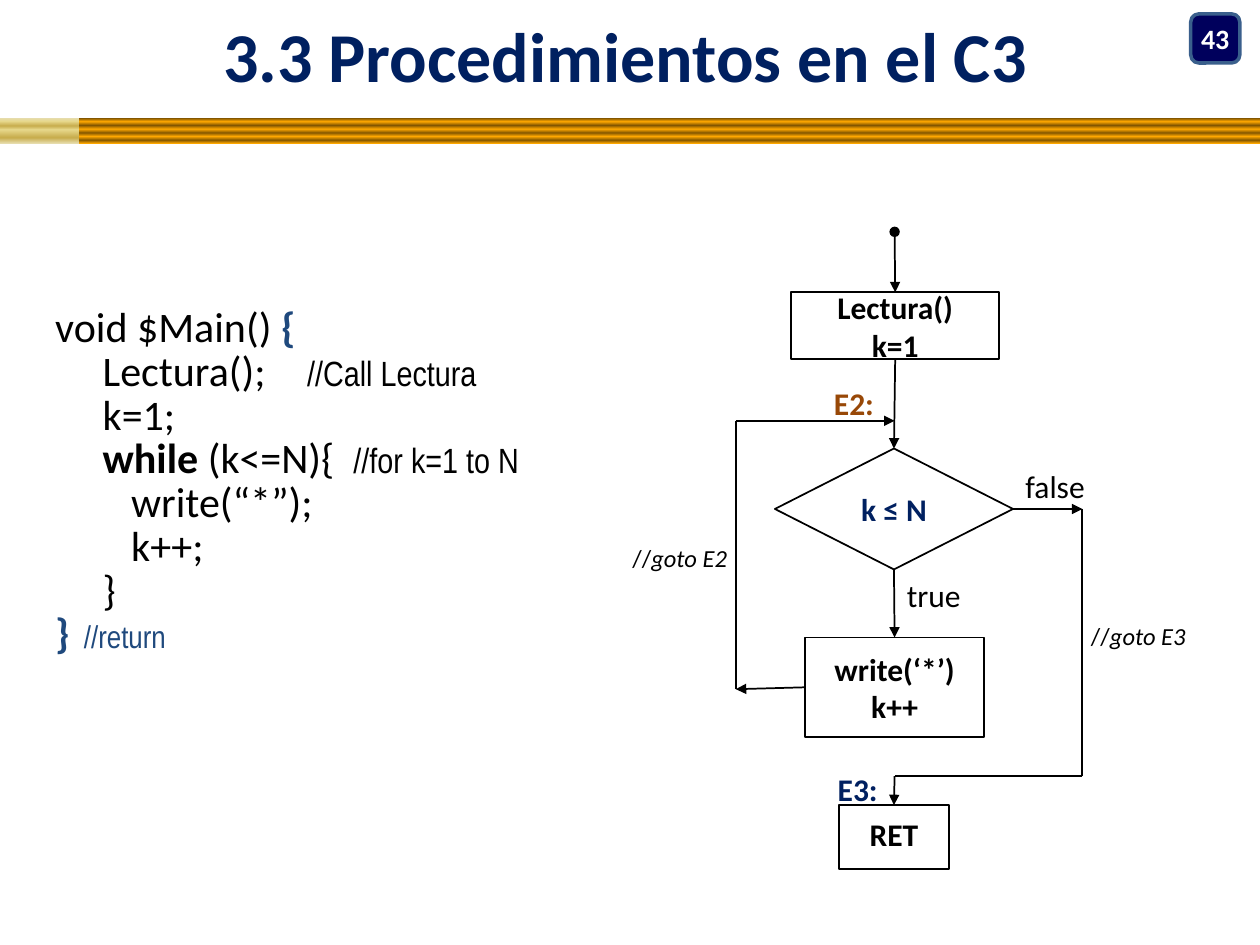
from lxml import etree
from pptx import Presentation
from pptx import util as u
from pptx.dml.color import RGBColor
from pptx.enum import shapes, text
from pptx.oxml import parse_xml
from pptx.oxml.ns import qn

HUES = {"ink": "000000", "navy": "002060", "blue": "1F497D", "rust": "984807",
        "badge": "00005C", "rim": "3A5F8C", "white": "FFFFFF"}
GOLD = [(p, "FFA800" if i % 2 else "825600")
        for i, p in enumerate((0, 13, 28, 43, 58, 72, 87, 100))]
SAND = [(0, "E6DCAC"), (12, "E6D78A"), (30, "C7AC4C"),
        (45, "E6D78A"), (77, "C7AC4C"), (100, "E6DCAC")]
NS = "http://schemas.openxmlformats.org/drawingml/2006/main"
TOP, LEFT, BASE, RIGHT = range(4)
KIND = shapes.MSO_SHAPE


def rgb(name):
    return RGBColor.from_string(HUES[name])


def write(frame, lines, size=18, face="Calibri", hue="ink", bold=False,
          italic=False, align="LEFT", gap=None):
    """Fill a frame; a line is a string or a list of (string, format) runs."""
    base = dict(size=size, face=face, hue=hue, bold=bold, italic=italic)
    for i, line in enumerate(lines):
        para = frame.paragraphs[0] if i == 0 else frame.add_paragraph()
        para.alignment = getattr(text.PP_ALIGN, align)
        if gap:
            para.line_spacing = u.Pt(gap)
        for words, own in [(line, {})] if isinstance(line, str) else line:
            fmt = {**base, **own}
            run = para.add_run()
            run.text = words
            font = run.font
            font.size, font.name = u.Pt(fmt["size"]), fmt["face"]
            font.bold, font.italic = fmt["bold"], fmt["italic"]
            font.color.rgb = rgb(fmt["hue"])


class Deck:
    def __init__(self, wide, high):
        self.prs = Presentation()
        self.prs.slide_width = u.Inches(wide)
        self.prs.slide_height = u.Inches(high)
        self.page = self.prs.slides.add_slide(self.prs.slide_layouts[6])

    def box(self, at, lines=(), kind=KIND.RECTANGLE, fill=None, line="ink",
            width=1, pad=(0.1, 0.05, 0.1, 0.05), **fmt):
        shape = self.page.shapes.add_shape(kind, *map(u.Inches, at))
        shape.shadow.inherit = False
        if fill:
            shape.fill.solid()
            shape.fill.fore_color.rgb = rgb(fill)
        else:
            shape.fill.background()
        if line:
            shape.line.color.rgb = rgb(line)
            shape.line.width = u.Pt(width)
        else:
            shape.line.fill.background()
        self.frame(shape.text_frame, pad, "MIDDLE")
        write(shape.text_frame, lines, bold=True, align="CENTER", **fmt)
        return shape

    def band(self, at, stops):
        shape = self.box(at, line=None)
        marks = "".join(f'<a:gs pos="{pos * 1000}"><a:srgbClr val="{hue}"/></a:gs>'
                        for pos, hue in stops)
        old = shape._element.spPr.find(qn("a:noFill"))
        old.getparent().replace(old, parse_xml(
            f'<a:gradFill xmlns:a="{NS}" rotWithShape="1"><a:gsLst>{marks}</a:gsLst>'
            '<a:lin ang="5400000" scaled="0"/></a:gradFill>'))

    def frame(self, frame, pad, anchor, wrap=True):
        frame.word_wrap = wrap
        frame.vertical_anchor = getattr(text.MSO_ANCHOR, anchor)
        (frame.margin_left, frame.margin_top,
         frame.margin_right, frame.margin_bottom) = map(u.Inches, pad)

    def label(self, at, lines, wrap=False, anchor="TOP",
              pad=(0.1, 0.05, 0.1, 0.05), **fmt):
        frame = self.page.shapes.add_textbox(*map(u.Inches, at)).text_frame
        self.frame(frame, pad, anchor, wrap)
        if not wrap:
            frame.auto_size = text.MSO_AUTO_SIZE.SHAPE_TO_FIT_TEXT
        write(frame, lines, **fmt)

    def link(self, start, end, begin=None, finish=None, head=None, tail="triangle"):
        """Draw a line; begin and finish are (shape, side) to join."""
        line = self.page.shapes.add_connector(
            shapes.MSO_CONNECTOR.STRAIGHT, *map(u.Inches, start + end))
        if begin:
            line.begin_connect(*begin)
        if finish:
            line.end_connect(*finish)
        line.line.color.rgb = rgb("ink")
        line.line.width = u.Pt(1)
        props = line._element.spPr
        for tag, tip in (("a:headEnd", head), ("a:tailEnd", tail)):
            if tip:
                etree.SubElement(props.find(qn("a:ln")), qn(tag), type=tip)
        etree.SubElement(props, qn("a:effectLst"))


def main():
    deck = Deck(10, 7.5)

    # Header
    deck.band((0, 0.94, 10, 0.2), GOLD)
    deck.box((9.45, 0.11, 0.39, 0.39), ["43"], KIND.ROUNDED_RECTANGLE, "badge",
             "rim", 2, (0, 0.05, 0, 0.05), size=16, hue="white")
    deck.band((0, 0.94, 0.63, 0.2), SAND)
    deck.label((0, 0, 9.92, 0.86), ["3.3 Procedimientos en el C3"], True, "MIDDLE",
               (0, 0, 0, 0), size=40, hue="navy", bold=True, align="CENTER")

    # Code
    note = dict(size=20, face="Arial Narrow")
    brace = dict(hue="blue", bold=True)
    deck.label((0.34, 2.39, 3.94, 3.01), [
        [("void $Main() ", {}), ("{", brace)],
        [("     Lectura();\t", {}), ("//Call Lectura", note)],
        "     k=1;",
        [("     ", {}), ("while", dict(bold=True)), (" (k<=N){  ", {}),
         ("//for k=1 to N", note)],
        "        write(“*”);",
        "        k++;",
        "     }",
        [("}", brace), ("  //return", {**note, "size": 18, "hue": "blue"})],
    ], True, size=24, gap=25)

    # Flowchart steps
    init = deck.box((6.28, 2.32, 1.65, 0.53), ["Lectura()", "k=1"])
    test = deck.box((6.15, 3.56, 1.89, 0.96), ["k ≤ N"],
                    KIND.FLOWCHART_DECISION, hue="navy")
    body = deck.box((6.39, 5.06, 1.42, 0.79), ["write(‘*’)", "k++"])
    done = deck.box((6.66, 6.39, 0.87, 0.51), ["RET"], pad=(0.1, 0, 0.1, 0.05))

    # Main flow
    mid, back, out = 7.1, 5.84, 8.59
    deck.link((mid, 1.84), (mid, 2.32), finish=(init, TOP), head="oval")
    deck.link((mid, 2.85), (mid, 3.56), (init, BASE), (test, TOP))
    deck.link((mid, 4.52), (mid, 5.06), (test, BASE), (body, TOP))
    deck.link((mid, 6.16), (mid, 6.39), finish=(done, TOP))

    # Exit to E3
    deck.link((8.04, 4.04), (out, 4.04), (test, RIGHT))
    deck.link((out, 4.04), (out, 6.16), tail=None)
    deck.link((out, 6.16), (mid, 6.16), tail=None)

    # Loop back to E2
    deck.link((6.39, 5.47), (back, 5.47), (body, LEFT))
    deck.link((back, 5.47), (back, 3.34), tail=None)
    deck.link((back, 3.34), (mid, 3.34))

    # Labels
    deck.label((8.04, 3.66, 0.68, 0.4), ["false"])
    deck.label((7.1, 4.52, 0.63, 0.4), ["true"])
    deck.label((6.55, 6.06, 0.52, 0.4), ["E3:"], hue="navy", bold=True)
    deck.label((6.52, 3, 0.52, 0.4), ["E2:"], hue="rust", bold=True)
    for left, top, goal in ((4.92, 4.26, "E2"), (8.56, 4.88, "E3")):
        deck.label((left, top, 0.95, 0.34),
                   [[("//", {}), (f"goto {goal}", dict(italic=True))]], size=14)

    deck.prs.save("out.pptx")


if __name__ == "__main__":
    main()
